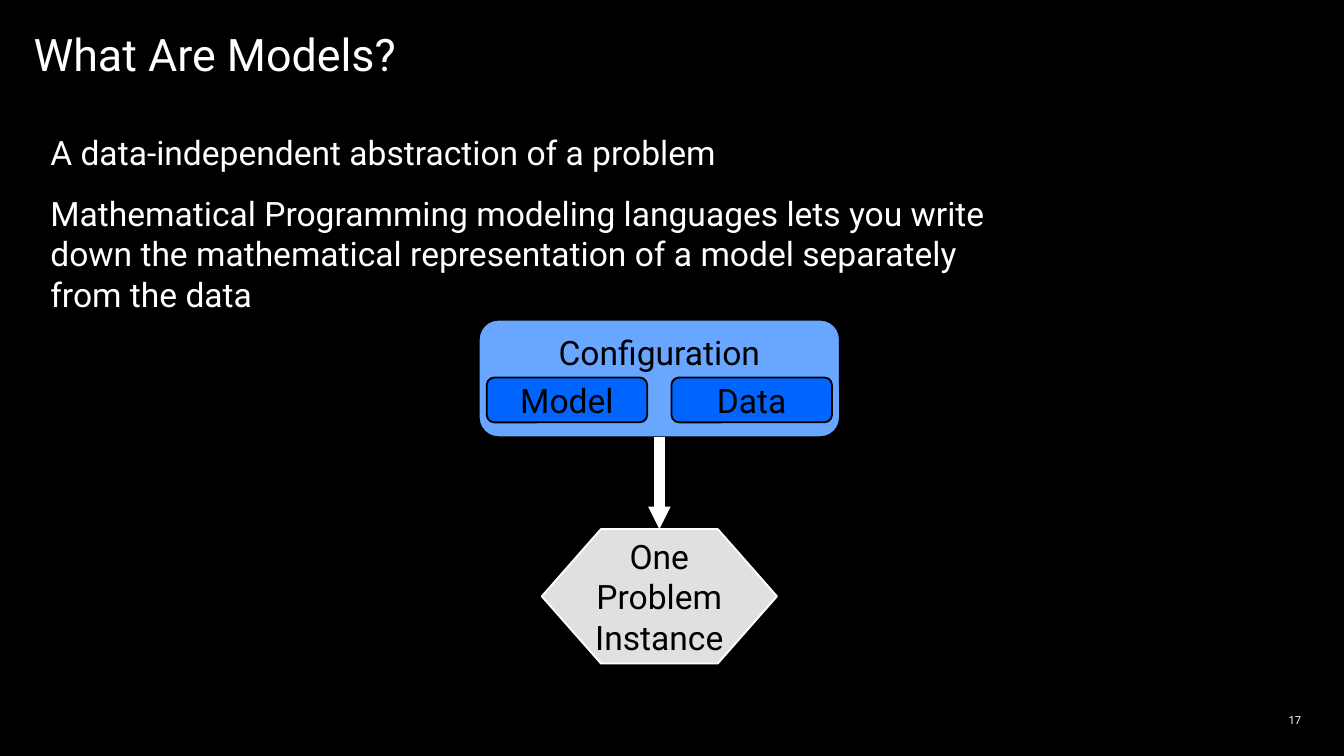
from lxml.etree import SubElement
from pptx import Presentation
from pptx.dml.color import RGBColor
from pptx.enum.shapes import MSO_CONNECTOR, MSO_SHAPE as Shape
from pptx.enum.text import MSO_ANCHOR as Anchor, PP_ALIGN as Align
from pptx.oxml.ns import qn
from pptx.util import Pt

# Content
TITLE = "What Are Models?"
BODY = [
    "A data-independent abstraction of a problem",
    "Mathematical Programming modeling languages lets you write down "
    "the mathematical representation of a model separately from the data",
]
CONFIGURATION = "Configuration"
PARTS = ["Model", "Data"]
INSTANCE = ["One", "Problem", "Instance"]
PAGE_NUMBER = "17"

# Style
FONT = "Roboto"
COLORS = {
    "black": "000000",
    "white": "FFFFFF",
    "light_blue": "69A6FF",
    "blue": "0064FF",
    "grey": "E0E0E0",
}
ROUNDING = 0.167

# Layout in points
CENTER = 353.25
CONFIG_TOP, CONFIG_WIDTH, CONFIG_HEIGHT = 171.25, 193.5, 63
PART_TOP, PART_WIDTH, PART_HEIGHT, PART_GAP = 202.25, 86, 24, 13
ARROW_TOP = 234
INSTANCE_TOP, INSTANCE_WIDTH, INSTANCE_HEIGHT = 283.5, 126, 72


def color(name):
    return RGBColor.from_string(COLORS[name])


def write(shape, lines, size, font_color, align=Align.LEFT, anchor=Anchor.TOP,
          wrap=True, gap=0, line_spacing=None):
    frame = shape.text_frame
    frame.word_wrap = wrap
    frame.vertical_anchor = anchor
    for index, line in enumerate(lines):
        paragraph = frame.add_paragraph() if index else frame.paragraphs[0]
        paragraph.text = line
        paragraph.alignment = align
        paragraph.line_spacing = line_spacing
        if index and gap:
            paragraph.space_before = Pt(gap)
        font = paragraph.font
        font.name, font.size = FONT, Pt(size)
        font.color.rgb = color(font_color)


def add_text(box, lines, size, inset=(0, 0), **options):
    shape = slide.shapes.add_textbox(*map(Pt, box))
    frame = shape.text_frame
    frame.margin_left = frame.margin_right = Pt(inset[0])
    frame.margin_top = frame.margin_bottom = Pt(inset[1])
    write(shape, lines, size, "white", **options)


def add_block(kind, box, lines, fill, line, adjustment, anchor=Anchor.MIDDLE):
    shape = slide.shapes.add_shape(kind, *map(Pt, box))
    shape.shadow.inherit = False
    shape.adjustments[0] = adjustment
    shape.fill.solid()
    shape.fill.fore_color.rgb = color(fill)
    shape.line.color.rgb = color(line)
    shape.line.width = Pt(1)
    write(shape, lines, 18, "black", Align.CENTER, anchor, wrap=False)


presentation = Presentation()
presentation.slide_width, presentation.slide_height = Pt(720), Pt(405)
slide = presentation.slides.add_slide(presentation.slide_layouts[6])
slide.background.fill.solid()
slide.background.fill.fore_color.rgb = color("black")

# Title, page number and body
add_text((18, 15.75, 324, 30), [TITLE], 24, anchor=Anchor.MIDDLE, line_spacing=0.9)
add_text((540, 380, 162, 11), [PAGE_NUMBER], 6, inset=(5, 3),
         align=Align.RIGHT, anchor=Anchor.MIDDLE)
add_text((27, 70.75, 526, 285), BODY, 18, gap=11)

# Configuration holding the model and the data
add_block(Shape.ROUNDED_RECTANGLE,
          (CENTER - CONFIG_WIDTH / 2, CONFIG_TOP, CONFIG_WIDTH, CONFIG_HEIGHT),
          [CONFIGURATION], "light_blue", "black", ROUNDING, Anchor.TOP)
row_width = len(PARTS) * (PART_WIDTH + PART_GAP) - PART_GAP
for index, part in enumerate(PARTS):
    left = CENTER - row_width / 2 + index * (PART_WIDTH + PART_GAP)
    add_block(Shape.ROUNDED_RECTANGLE, (left, PART_TOP, PART_WIDTH, PART_HEIGHT),
              [part], "blue", "black", ROUNDING)

# Arrow down to the problem instance
arrow = slide.shapes.add_connector(
    MSO_CONNECTOR.STRAIGHT, Pt(CENTER), Pt(ARROW_TOP), Pt(CENTER), Pt(INSTANCE_TOP))
arrow.line.color.rgb = color("white")
arrow.line.width = Pt(6)
SubElement(arrow.line._get_or_add_ln(), qn("a:tailEnd"), type="triangle", w="sm", len="sm")
SubElement(arrow._element.spPr, qn("a:effectLst"))

# Problem instance
add_block(Shape.HEXAGON,
          (CENTER - INSTANCE_WIDTH / 2, INSTANCE_TOP, INSTANCE_WIDTH, INSTANCE_HEIGHT),
          INSTANCE, "grey", "white", 0.44)

presentation.save("out.pptx")
